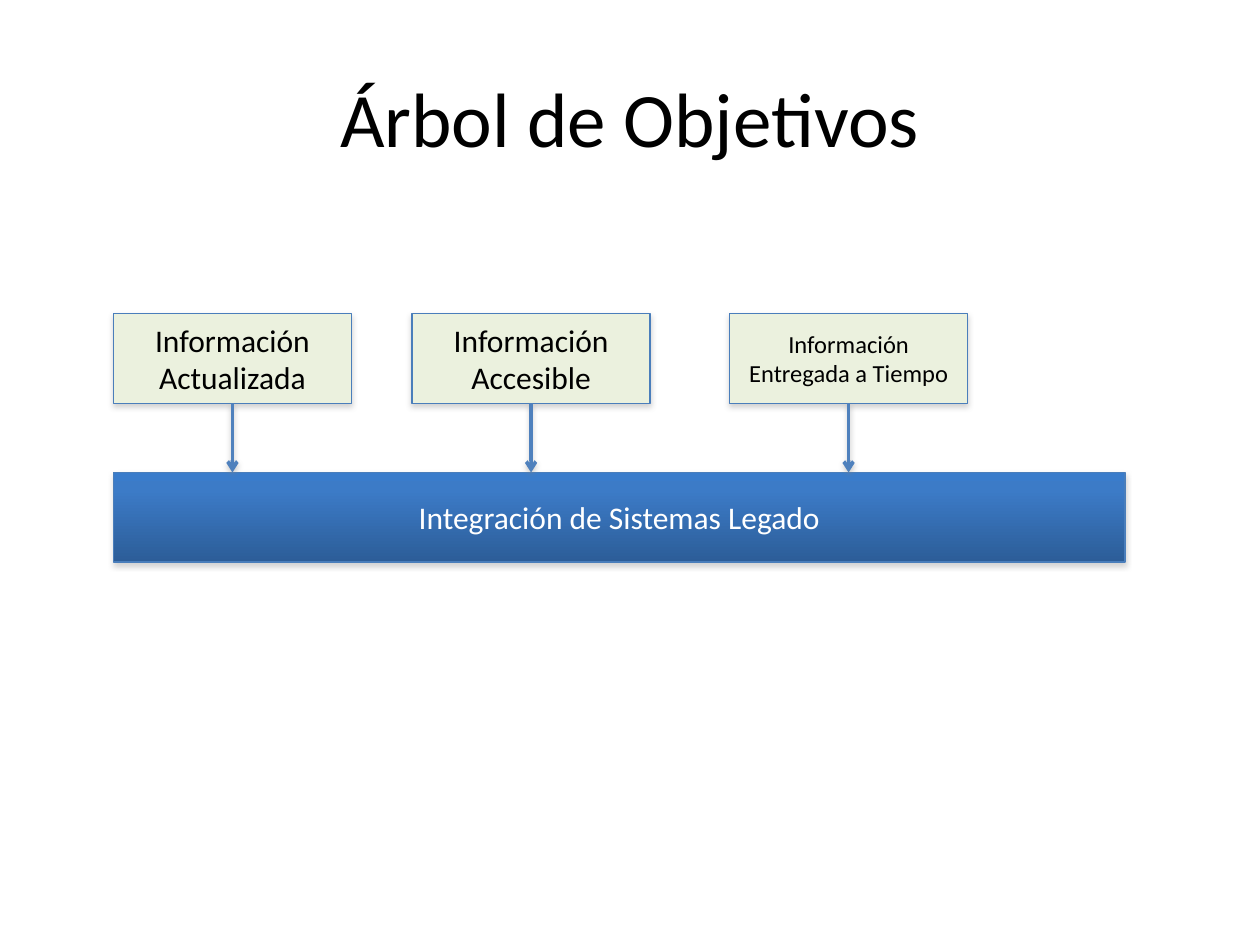
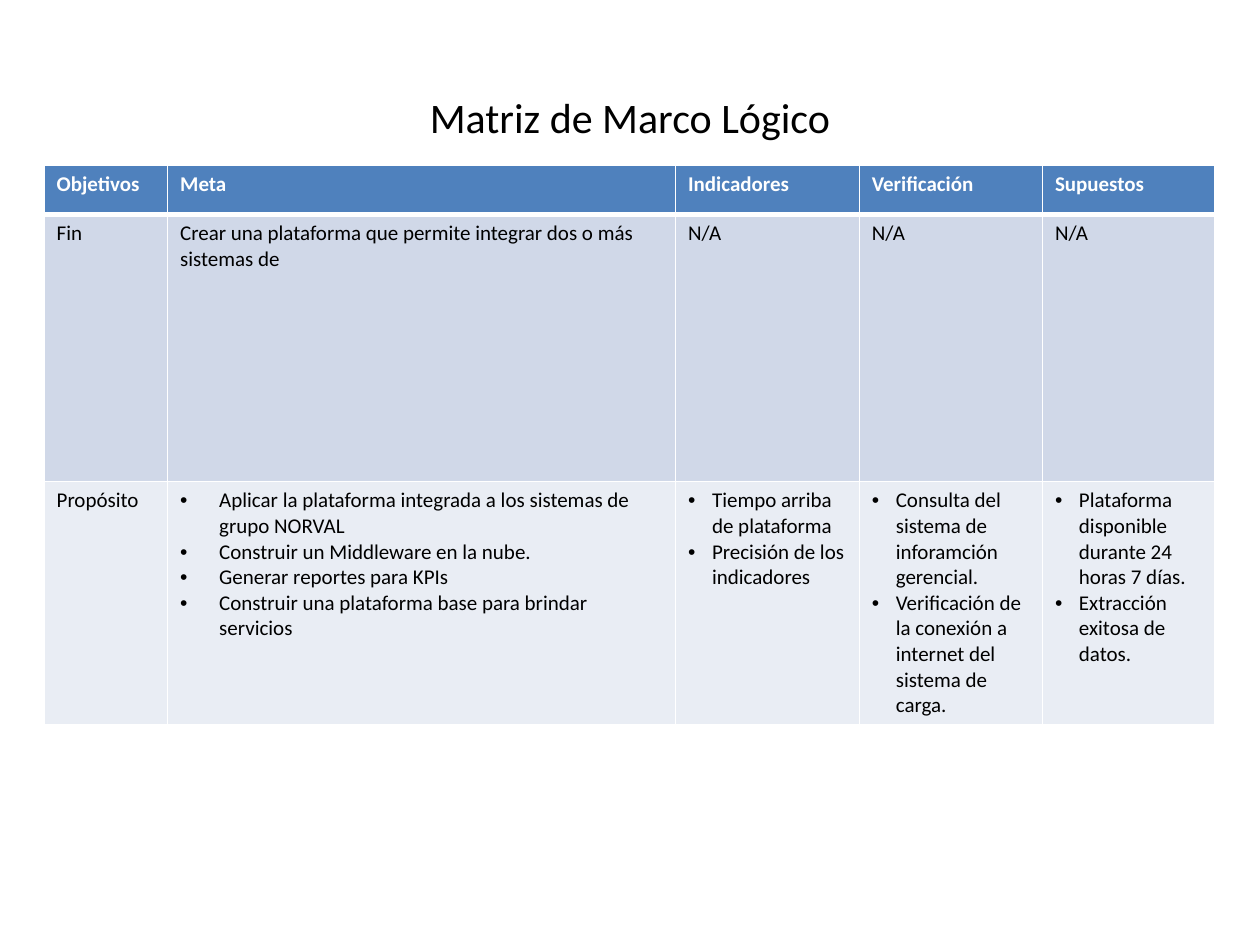
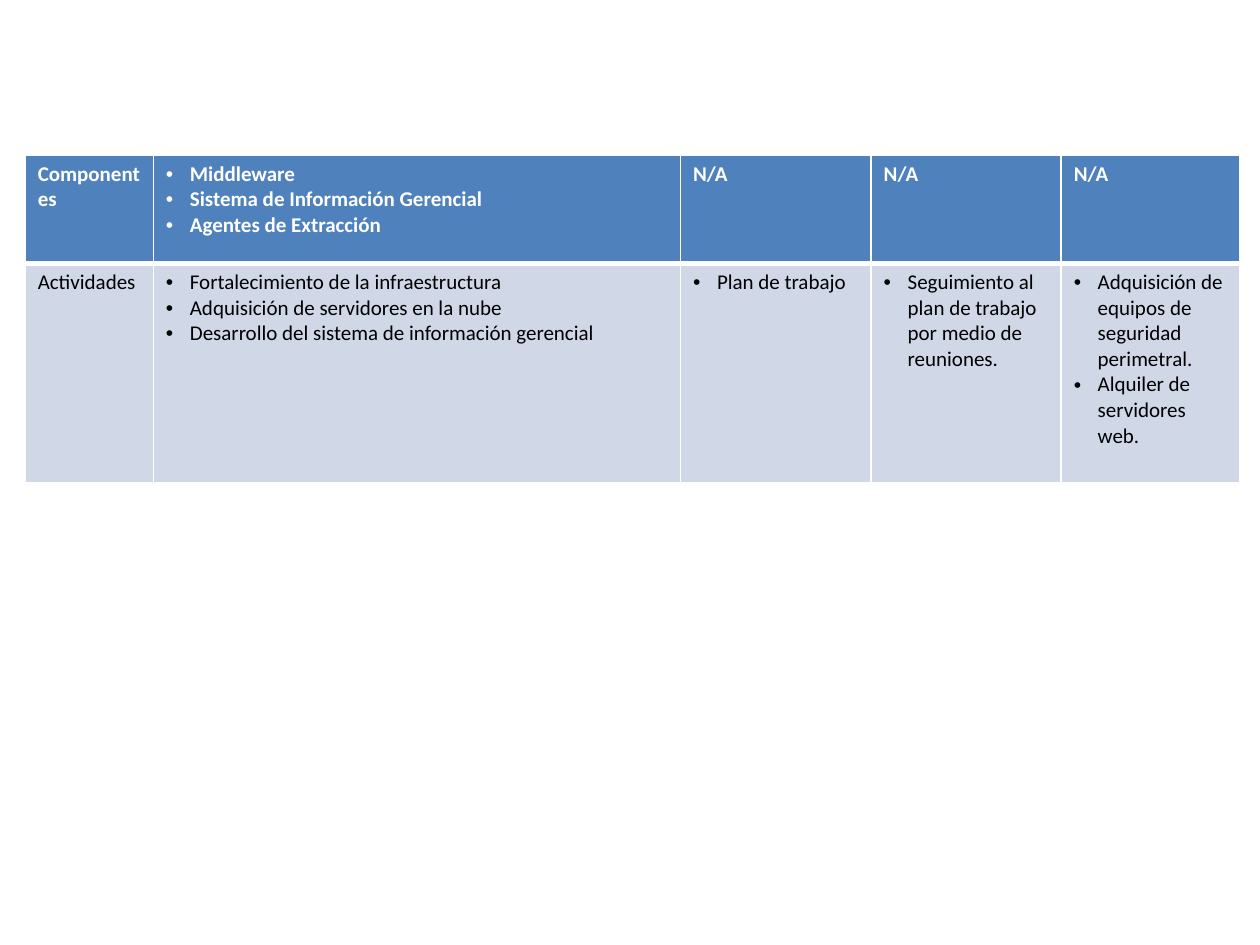
from copy import deepcopy
from dataclasses import dataclass

from lxml.etree import SubElement
from pptx import Presentation
from pptx.dml.color import RGBColor
from pptx.enum.shapes import MSO_CONNECTOR as Link, MSO_SHAPE as Shape
from pptx.enum.text import MSO_ANCHOR as Anchor, PP_ALIGN as Align
from pptx.oxml.ns import qn
from pptx.util import Emu, Inches, Pt

WIDE, HIGH = Inches(10), Inches(7.5)
FONT = "Calibri"
BLACK = RGBColor(0x00, 0x00, 0x00)
WHITE = RGBColor(0xFF, 0xFF, 0xFF)
GRAY = RGBColor(0x80, 0x80, 0x80)
BLUE = RGBColor(0x4F, 0x81, 0xBD)
EDGE = RGBColor(0x4A, 0x7E, 0xBB)
GREEN = RGBColor(0xEB, 0xF1, 0xDE)
BANDS = [RGBColor(0xD0, 0xD8, 0xE8), RGBColor(0xE9, 0xED, 0xF4)]
FADE = [
    (0, RGBColor(0x3A, 0x7C, 0xCB)),
    (0.2, RGBColor(0x3C, 0x7B, 0xC7)),
    (1, RGBColor(0x2C, 0x5D, 0x98)),
]
COLS = [10.55, 43.4, 15.7, 15.65, 14.7]  # percent of the table's width
BOX_TOP, BOX_WIDE, BOX_HIGH = 33.2, 18.9, 9.47  # percent of the slide
BAR_TOP = 50


@dataclass
class Points:
    """Bulleted lines with a hanging indent in inches."""
    lines: list
    hang: float = 0.19


def across(pct):
    return Emu(round(WIDE * pct / 100))


def down(pct):
    return Emu(round(HIGH * pct / 100))


def style(par, size, color, bold=False):
    for run in par.runs:
        font = run.font
        font.name, font.size, font.bold = FONT, Pt(size), bold
        font.color.rgb = color


def add_title(slide, text, size):
    title = slide.shapes.title
    title.left, title.top = across(5), down(4)
    title.width, title.height = across(90), down(16.67)
    frame = title.text_frame
    frame.text = text
    frame.vertical_anchor = Anchor.MIDDLE
    frame.paragraphs[0].alignment = Align.CENTER
    style(frame.paragraphs[0], size, BLACK)


def shade(item, alpha, dist):
    """Give a shape or connector a soft shadow below it."""
    props = item.element.spPr
    effects = props.find(qn("a:effectLst"))
    if effects is None:
        effects = SubElement(props, qn("a:effectLst"))
    shadow = SubElement(effects, qn("a:outerShdw"), blurRad=str(Pt(3.1)),
                        dist=str(Pt(dist)), dir="5400000", rotWithShape="0")
    color = SubElement(shadow, qn("a:srgbClr"), val=str(GRAY))
    SubElement(color, qn("a:alpha"), val=str(alpha * 1000))


def add_box(slide, left, top, wide, text, size, color):
    box = slide.shapes.add_shape(Shape.RECTANGLE, across(left), down(top),
                                 across(wide), down(BOX_HIGH))
    box.shadow.inherit = False
    box.line.color.rgb, box.line.width = EDGE, Pt(0.75)
    shade(box, 35, 1.8)
    frame = box.text_frame
    frame.text = text
    frame.word_wrap = True
    frame.vertical_anchor = Anchor.MIDDLE
    frame.paragraphs[0].alignment = Align.CENTER
    style(frame.paragraphs[0], size, color)
    return box


def fade(box):
    """Fill a shape with the blue gradient, from top to bottom."""
    box.fill.gradient()
    box.fill.gradient_angle = 270
    first = box.element.xpath(".//a:gs")[0]
    first.addnext(deepcopy(first))
    for stop, (place, color) in zip(box.fill.gradient_stops, FADE):
        stop.position, stop.color.rgb = place, color


def add_arrow(slide, box, end):
    mid = box.left + box.width // 2
    arrow = slide.shapes.add_connector(Link.STRAIGHT, mid,
                                       box.top + box.height, mid, end)
    arrow.begin_connect(box, 2)
    arrow.line.color.rgb, arrow.line.width = BLUE, Pt(2)
    SubElement(arrow.line._get_or_add_ln(), qn("a:tailEnd"), type="arrow")
    shade(arrow, 38, 1.6)


def add_edges(cell, top, bottom):
    props = cell._tc.get_or_add_tcPr()
    for side, width in zip("LRTB", (1, 1, top, bottom)):
        line = SubElement(props, qn(f"a:ln{side}"), w=str(Pt(width)))
        fill = SubElement(line, qn("a:solidFill"))
        SubElement(fill, qn("a:srgbClr"), val=str(WHITE))


def add_bullet(par, hang):
    props = par._p.get_or_add_pPr()
    props.set("marL", str(Inches(hang)))
    props.set("indent", str(-Inches(hang)))
    SubElement(props, qn("a:buFont"), typeface="Arial")
    SubElement(props, qn("a:buChar"), char="•")


def fill_cell(cell, content, row):
    head = row == 0
    add_edges(cell, 3 if row == 1 else 1, 3 if head else 1)
    cell.fill.solid()
    cell.fill.fore_color.rgb = BLUE if head else BANDS[(row - 1) % 2]
    listed = isinstance(content, Points)
    frame = cell.text_frame
    frame.text = "\n".join(content.lines) if listed else content
    for par in frame.paragraphs:
        if listed:
            add_bullet(par, content.hang)
        style(par, 12, WHITE if head else BLACK, head)


def add_matrix(slide, left, top, wide, heights, rows):
    table = slide.shapes.add_table(len(rows), len(COLS), across(left),
                                   down(top), across(wide),
                                   down(sum(heights))).table
    for col, share in zip(table.columns, COLS):
        col.width = across(wide * share / 100)
    for r, (height, row) in enumerate(zip(heights, rows)):
        table.rows[r].height = down(height)
        for c, content in enumerate(row):
            fill_cell(table.cell(r, c), content, r)


def add_tree(slide):
    bar = add_box(slide, 9, BAR_TOP, 80.3, "Integración de Sistemas Legado",
                  18, WHITE)
    fade(bar)
    goals = [
        (9, "Información Actualizada", 18),
        (32.7, "Información Accesible", 18),
        (57.9, "Información Entregada a Tiempo", 14),
    ]
    boxes = []
    for left, text, size in goals:
        box = add_box(slide, left, BOX_TOP, BOX_WIDE, text, size, BLACK)
        box.fill.solid()
        box.fill.fore_color.rgb = GREEN
        boxes.append(box)
    for box in boxes:
        add_arrow(slide, box, bar.top)


GOALS = [
    ["Objetivos", "Meta", "Indicadores", "Verificación", "Supuestos"],
    ["Fin",
     "Crear una plataforma que permite integrar dos o más sistemas de",
     "N/A", "N/A", "N/A"],
    ["Propósito",
     Points(["Aplicar la plataforma integrada a los sistemas de grupo NORVAL",
             "Construir un Middleware en la nube.",
             "Generar reportes para KPIs",
             "Construir una plataforma base para brindar servicios"], 0.31),
     Points(["Tiempo arriba de plataforma", "Precisión de los indicadores"]),
     Points(["Consulta del sistema de inforamción gerencial.",
             "Verificación de la conexión a internet del sistema de carga."]),
     Points(["Plataforma disponible durante 24 horas 7 días.",
             "Extracción exitosa de datos."])],
]
TASKS = [
    ["Componentes",
     Points(["Middleware", "Sistema de Información Gerencial",
             "Agentes de Extracción"]),
     "N/A", "N/A", "N/A"],
    ["Actividades",
     Points(["Fortalecimiento de la infraestructura",
             "Adquisición de servidores en la nube",
             "Desarrollo del sistema de información gerencial"]),
     Points(["Plan de trabajo"]),
     Points(["Seguimiento al plan de trabajo por medio de reuniones."]),
     Points(["Adquisición de equipos de seguridad perimetral.",
             "Alquiler de servidores web."])],
]


def main():
    deck = Presentation()
    deck.slide_width, deck.slide_height = WIDE, HIGH
    titled, blank = deck.slide_layouts[5], deck.slide_layouts[6]

    tree = deck.slides.add_slide(titled)
    add_title(tree, "Árbol de Objetivos", 44)
    add_tree(tree)

    goals = deck.slides.add_slide(titled)
    add_title(goals, "Matriz de Marco Lógico", 24)
    add_matrix(goals, 3.5, 17.5, 92.9, [5.2, 28.27, 23.2], GOALS)

    tasks = deck.slides.add_slide(blank)
    add_matrix(tasks, 2, 16.4, 96.4, [11.47, 23.2], TASKS)

    deck.save("out.pptx")


if __name__ == "__main__":
    main()
